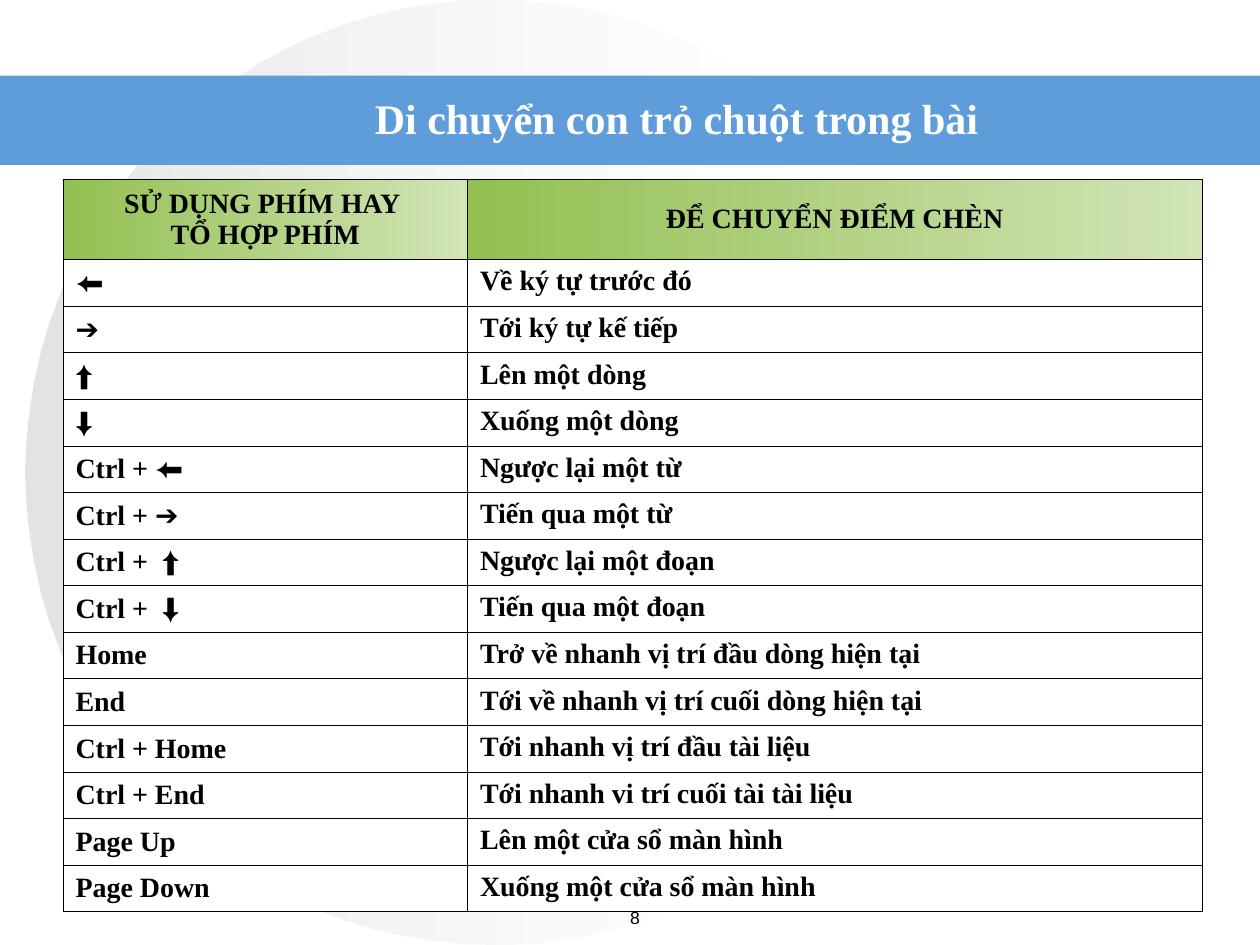
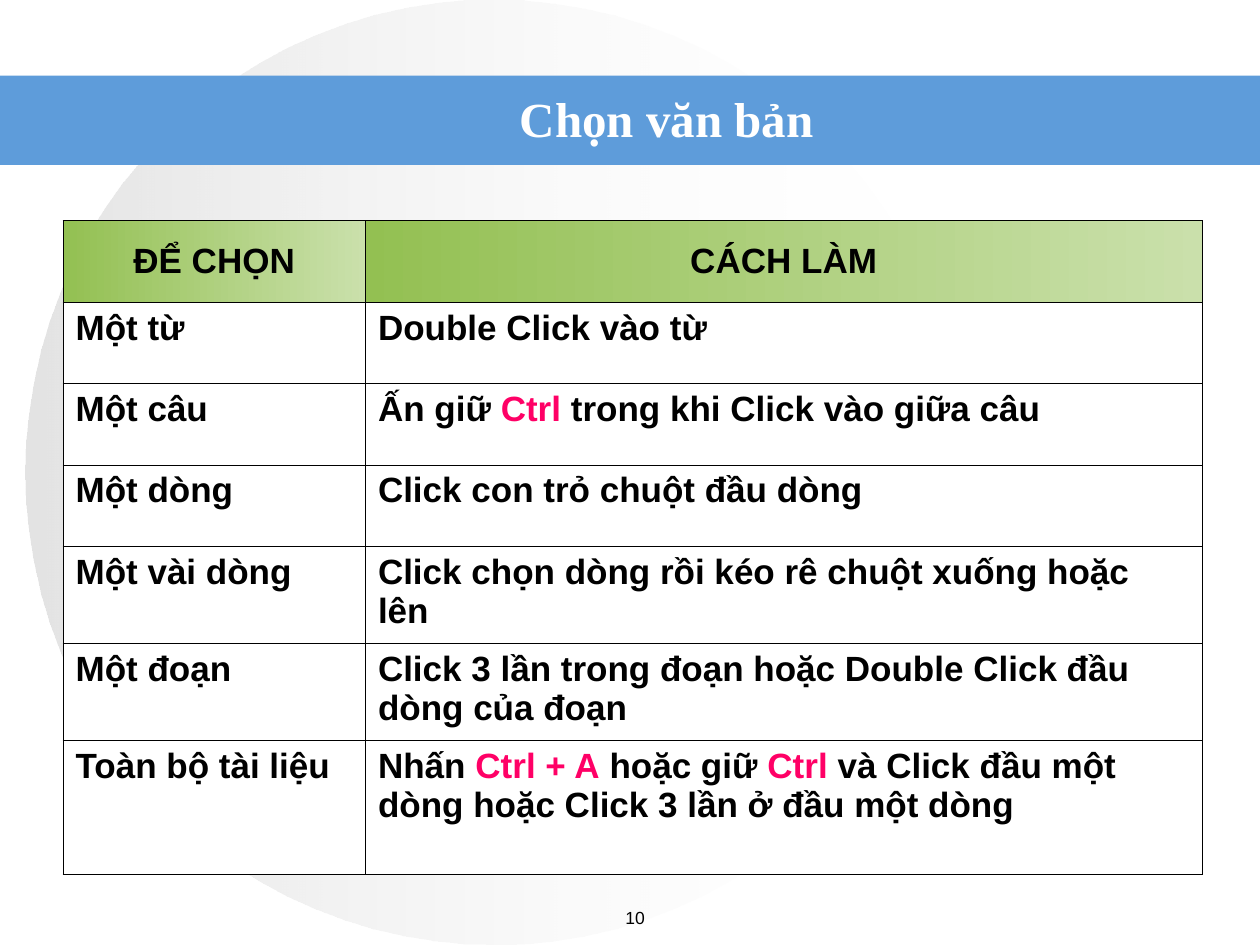
from dataclasses import dataclass

from lxml import etree
from pptx import Presentation
from pptx import util as u
from pptx.dml.color import RGBColor
from pptx.enum import shapes, text
from pptx.oxml.ns import qn


@dataclass(frozen=True)
class Theme:
    black: str = "000000"
    white: str = "FFFFFF"
    band: str = "5E9CDA"
    circle: str = "C0C0C0"
    header: str = "93C052"
    accent: str = "FF0066"
    serif: str = "Times New Roman"
    sans: str = "Arial"
    number_size: float = 10
    border: float = 0.45


theme = Theme()
align = text.PP_ALIGN
anchor = text.MSO_ANCHOR

# Slide size and a grid of 100 columns by 75 rows
presentation = Presentation()
presentation.slide_width, presentation.slide_height = u.Inches(10), u.Inches(7.5)
column = presentation.slide_width // 100
row = presentation.slide_height // 75


def box(left, top, width, height):
    return [round(n * unit) for n, unit in zip((left, top, width, height), (column, row) * 2)]


def write(paragraph, content, style, marked=None):
    """Add runs to a paragraph; parts between bars also take the marked style."""
    for index, part in enumerate(content.split("|")):
        if not part:
            continue
        run = paragraph.add_run()
        run.text = part
        values = {**style, **(marked or {})} if index % 2 else dict(style)
        run.font.color.rgb = RGBColor.from_string(values.pop("color"))
        for name, value in values.items():
            setattr(run.font, name, value)


# Content of the slides; bars enclose the marked parts
pages = [
    dict(
        title="Di chuyển con trỏ chuột trong bài", title_size=24, title_left=20.8, number="8",
        top=14.2, columns=[32.1, 58.3], rows=[6.4] + [3.7] * 14, header_end="D1E4B6",
        font=theme.serif, size=16, marked={"name": theme.sans},
        key_align=align.LEFT, key_anchor=anchor.MIDDLE, hanging=3.8,
        cells=[
            ("SỬ DỤNG PHÍM HAY \nTỔ HỢP PHÍM", "ĐỂ CHUYỂN ĐIỂM CHÈN"),
            ("|⬅|", "Về ký tự trước đó"),
            ("|➔|", "Tới ký tự kế tiếp"),
            ("|⬆|", "Lên một dòng"),
            ("|⬇|", "Xuống một dòng"),
            ("Ctrl + |⬅|", "Ngược lại một từ"),
            ("Ctrl + |➔|", "Tiến qua một từ"),
            ("Ctrl +  |⬆|", "Ngược lại một đoạn"),
            ("Ctrl +  |⬇|", "Tiến qua một đoạn"),
            ("Home", "Trở về nhanh vị trí đầu dòng hiện tại"),
            ("End", "Tới về nhanh vị trí cuối dòng hiện tại"),
            ("Ctrl + Home", "Tới nhanh vị trí đầu tài liệu"),
            ("Ctrl + End", "Tới nhanh vi trí cuối tài tài liệu"),
            ("Page Up", "Lên một cửa sổ màn hình"),
            ("Page Down", "Xuống một cửa sổ màn hình"),
        ],
    ),
    dict(
        title="Chọn văn bản", title_size=28, title_left=20, number="10",
        top=17.5, columns=[24, 66.4], rows=[6.5, 6.4, 6.5, 6.5, 7.7, 7.7, 10.6],
        header_end="CAE0AB",
        font=theme.sans, size=20, marked={"color": theme.accent},
        key_align=align.JUSTIFY, key_anchor=anchor.TOP, hanging=0,
        cells=[
            ("ĐỂ CHỌN", "CÁCH LÀM"),
            ("Một từ", "Double Click vào từ"),
            ("Một câu", "Ấn giữ |Ctrl| trong khi Click vào giữa câu"),
            ("Một dòng", "Click con trỏ chuột đầu dòng"),
            ("Một vài dòng", "Click chọn dòng rồi kéo rê chuột xuống hoặc lên"),
            ("Một đoạn", "Click 3 lần trong đoạn hoặc Double Click đầu dòng của đoạn"),
            ("Toàn bộ tài liệu ", "Nhấn |Ctrl + A| hoặc giữ |Ctrl| và Click đầu một dòng "
                                  "hoặc Click 3 lần ở đầu một dòng"),
        ],
    ),
]

layout = presentation.slide_layouts.get_by_name("Title Only")
slides = [presentation.slides.add_slide(layout) for page in pages]

# Shared backdrop: circle and title band, moved to the layout behind everything
circle = slides[0].shapes.add_shape(shapes.MSO_SHAPE.OVAL, *box(2, 0, 74.4, 75))
band = slides[0].shapes.add_shape(shapes.MSO_SHAPE.RECTANGLE, *box(0, 6, 100, 7.1))
circle.fill.gradient()
circle.fill.gradient_angle = 0
for stop, color, opacity in zip(circle.fill.gradient_stops, (theme.circle, theme.white), (44, 0)):
    stop.color.rgb = RGBColor.from_string(color)
for color_element, opacity in zip(circle._element.spPr.iter(qn("a:srgbClr")), (44, 0)):
    etree.SubElement(color_element, qn("a:alpha"), val=str(opacity * 1000))
band.fill.solid()
band.fill.fore_color.rgb = RGBColor.from_string(theme.band)
for position, shape in enumerate((circle, band), start=2):
    shape.shadow.inherit = False
    shape.line.fill.background()
    layout.shapes._spTree.insert(position, shape._element)

for page, slide in zip(pages, slides):
    # Title
    title = slide.shapes.title
    title.left, title.top, title.width, title.height = box(page["title_left"], 6.7, 65.8, 5.3)
    title.text_frame.auto_size = text.MSO_AUTO_SIZE.NONE
    title.text_frame.vertical_anchor = anchor.MIDDLE
    paragraph = title.text_frame.paragraphs[0]
    paragraph.alignment = align.CENTER
    write(paragraph, page["title"], dict(name=theme.serif, size=u.Pt(page["title_size"]),
                                         bold=True, color=theme.white))

    # Table
    frame = slide.shapes.add_table(len(page["rows"]), len(page["columns"]),
                                   *box(5, page["top"], sum(page["columns"]), sum(page["rows"])))
    table = frame.table
    table.first_row = table.horz_banding = False
    for table_column, width in zip(table.columns, page["columns"]):
        table_column.width = round(width * column)
    for table_row, height in zip(table.rows, page["rows"]):
        table_row.height = round(height * row)
    style = dict(name=page["font"], size=u.Pt(page["size"]), bold=True, color=theme.black)

    for row_index, contents in enumerate(page["cells"]):
        for column_index, content in enumerate(contents):
            cell = table.cell(row_index, column_index)
            is_header, is_key = row_index == 0, column_index == 0

            # Cell borders come before the fill in the cell's properties
            properties = cell._tc.get_or_add_tcPr()
            for side in ("lnL", "lnR", "lnT", "lnB"):
                line = etree.SubElement(properties, qn(f"a:{side}"), w=str(u.Pt(theme.border)))
                fill = etree.SubElement(line, qn("a:solidFill"))
                etree.SubElement(fill, qn("a:srgbClr"), val=theme.black)

            if is_header:
                cell.fill.gradient()
                cell.fill.gradient_angle = 0
                for stop, color in zip(cell.fill.gradient_stops,
                                       (theme.header, page["header_end"])):
                    stop.color.rgb = RGBColor.from_string(color)
                alignment, cell.vertical_anchor = align.CENTER, anchor.MIDDLE
            else:
                cell.fill.solid()
                cell.fill.fore_color.rgb = RGBColor.from_string(theme.white)
                alignment = page["key_align"] if is_key else align.LEFT
                cell.vertical_anchor = page["key_anchor"] if is_key else anchor.TOP

            for line_index, line_text in enumerate(content.split("\n")):
                text_frame = cell.text_frame
                paragraph = text_frame.add_paragraph() if line_index else text_frame.paragraphs[0]
                paragraph.alignment = alignment
                indent = round(page["hanging"] * column)
                paragraph_properties = paragraph._p.get_or_add_pPr()
                paragraph_properties.set("marL", str(indent))
                paragraph_properties.set("indent", str(-indent))
                write(paragraph, line_text, style, page["marked"])

    # Page number
    number = slide.shapes.add_textbox(*box(45.8, 71.5, 9.2, 2.9))
    number.text_frame.word_wrap = True
    paragraph = number.text_frame.paragraphs[0]
    paragraph.alignment = align.CENTER
    write(paragraph, page["number"], dict(name=theme.sans, size=u.Pt(theme.number_size),
                                          color=theme.black))

presentation.save("out.pptx")
